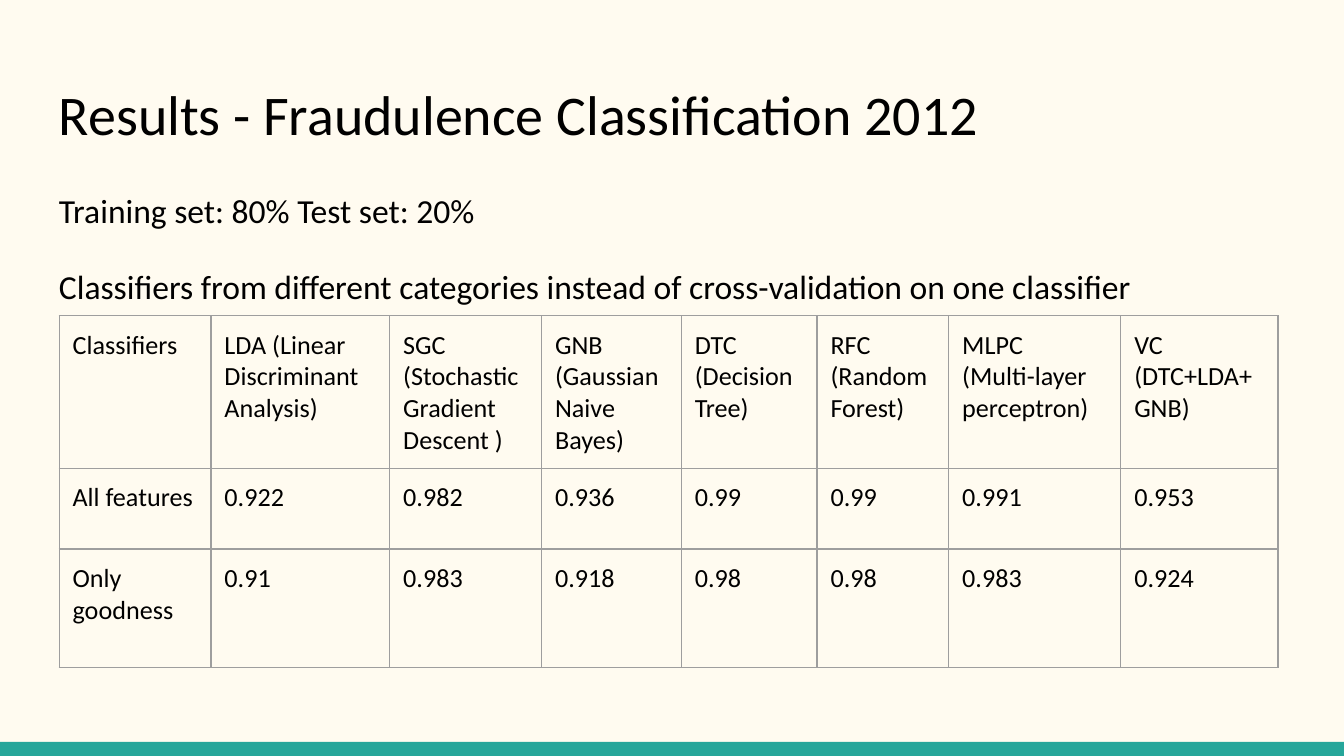
"""Build the slide of fraud classification results for 2012."""
import pptx
import pptx.dml.color
import pptx.enum.shapes
import pptx.enum.text
import pptx.oxml
import pptx.oxml.ns
import pptx.util

Inches = pptx.util.Inches
Pt = pptx.util.Pt
RGBColor = pptx.dml.color.RGBColor

CREAM = RGBColor(0xFF, 0xFB, 0xF0)
TEAL = RGBColor(0x26, 0xA6, 0x9A)
BLACK = RGBColor(0, 0, 0)
GREY = RGBColor(0x9E, 0x9E, 0x9E)


def write(frame, text, size=14, line=None, gap=0):
    frame.text = text
    for num, para in enumerate(frame.paragraphs):
        para.line_spacing = line
        para.space_before = Pt(gap if num else 0)
        for run in para.runs:
            run.font.name = "Calibri"
            run.font.size = Pt(size)
            run.font.color.rgb = BLACK


def rule(cell):
    props = cell._tc.get_or_add_tcPr()
    for side in "LRTB":
        props.append(pptx.oxml.parse_xml(
            f'<a:ln{side} {pptx.oxml.ns.nsdecls("a")} w="{Pt(0.75)}">'
            f'<a:solidFill><a:srgbClr val="{GREY}"/></a:solidFill></a:ln{side}>'))
    cell.fill.background()


deck = pptx.Presentation()
deck.slide_width = Inches(10)
deck.slide_height = Inches(10) * 9 // 16
slide = deck.slides.add_slide(deck.slide_layouts[6])
slide.background.fill.solid()
slide.background.fill.fore_color.rgb = CREAM

bar = slide.shapes.add_shape(
    pptx.enum.shapes.MSO_SHAPE.RECTANGLE,
    Inches(0), Inches(5.52), Inches(10), Inches(0.11))
bar.shadow.inherit = False
bar.fill.solid()
bar.fill.fore_color.rgb = TEAL
bar.line.fill.background()

title = slide.shapes.add_textbox(Inches(0.34), Inches(0.49), Inches(9.32), Inches(0.67))
body = slide.shapes.add_textbox(Inches(0.34), Inches(1.27), Inches(9.32), Inches(3.74))
for box in (title, body):
    frame = box.text_frame
    frame.word_wrap = True
    frame.vertical_anchor = pptx.enum.text.MSO_ANCHOR.TOP
    frame.margin_left = frame.margin_right = Inches(0.1)
    frame.margin_top = frame.margin_bottom = Inches(0.1)
write(title.text_frame, "Results - Fraudulence Classification 2012", size=30)
write(body.text_frame,
      "Training set: 80% Test set: 20%\n"
      "Classifiers from different categories instead of cross-validation on one classifier",
      size=18, line=1.15, gap=16)

scores = [
    ["Classifiers", "LDA (Linear Discriminant Analysis)",
     "SGC (Stochastic Gradient Descent )", "GNB (Gaussian Naive Bayes)",
     "DTC (Decision Tree)", "RFC\n(Random Forest)",
     "MLPC\n(Multi-layer perceptron)", "VC\n(DTC+LDA+GNB)"],
    ["All features", "0.922", "0.982", "0.936", "0.99", "0.99", "0.991", "0.953"],
    ["Only goodness", "0.91", "0.983", "0.918", "0.98", "0.98", "0.983", "0.924"],
]
widths = [1.13, 1.33, 1.13, 1.04, 1.01, 0.98, 1.28, 1.17]
heights = [1.09, 0.6, 0.88]

table = slide.shapes.add_table(
    len(heights), len(widths), Inches(0.44), Inches(2.35),
    Inches(sum(widths)), Inches(sum(heights))).table
table.first_row = False
table.horz_banding = False
for col, width in zip(table.columns, widths):
    col.width = Inches(width)
for row, height, texts in zip(table.rows, heights, scores):
    row.height = Inches(height)
    for cell, text in zip(row.cells, texts):
        write(cell.text_frame, text)
        cell.margin_left = cell.margin_right = Inches(0.1)
        cell.margin_top = cell.margin_bottom = Inches(0.1)
        rule(cell)

deck.save("out.pptx")
